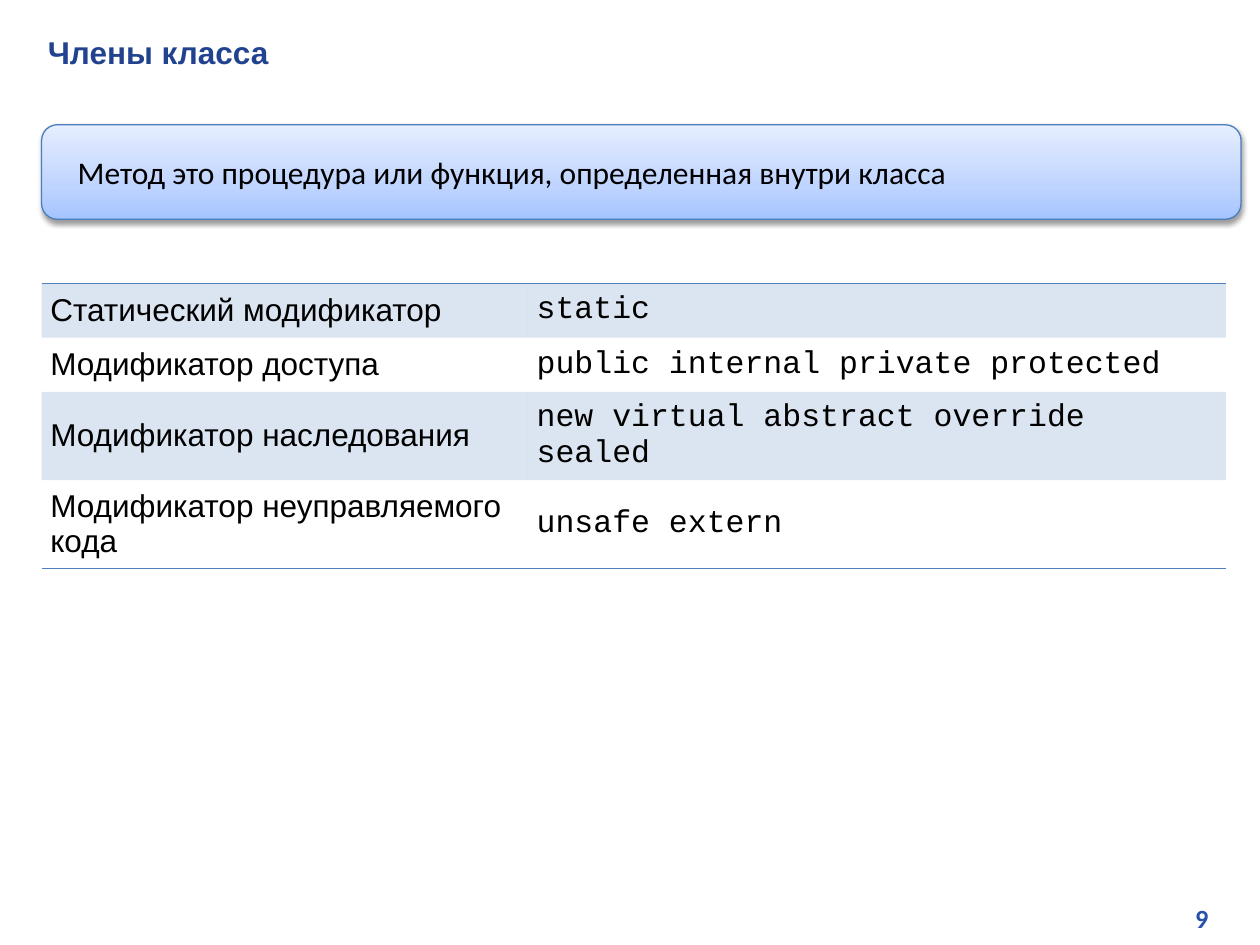
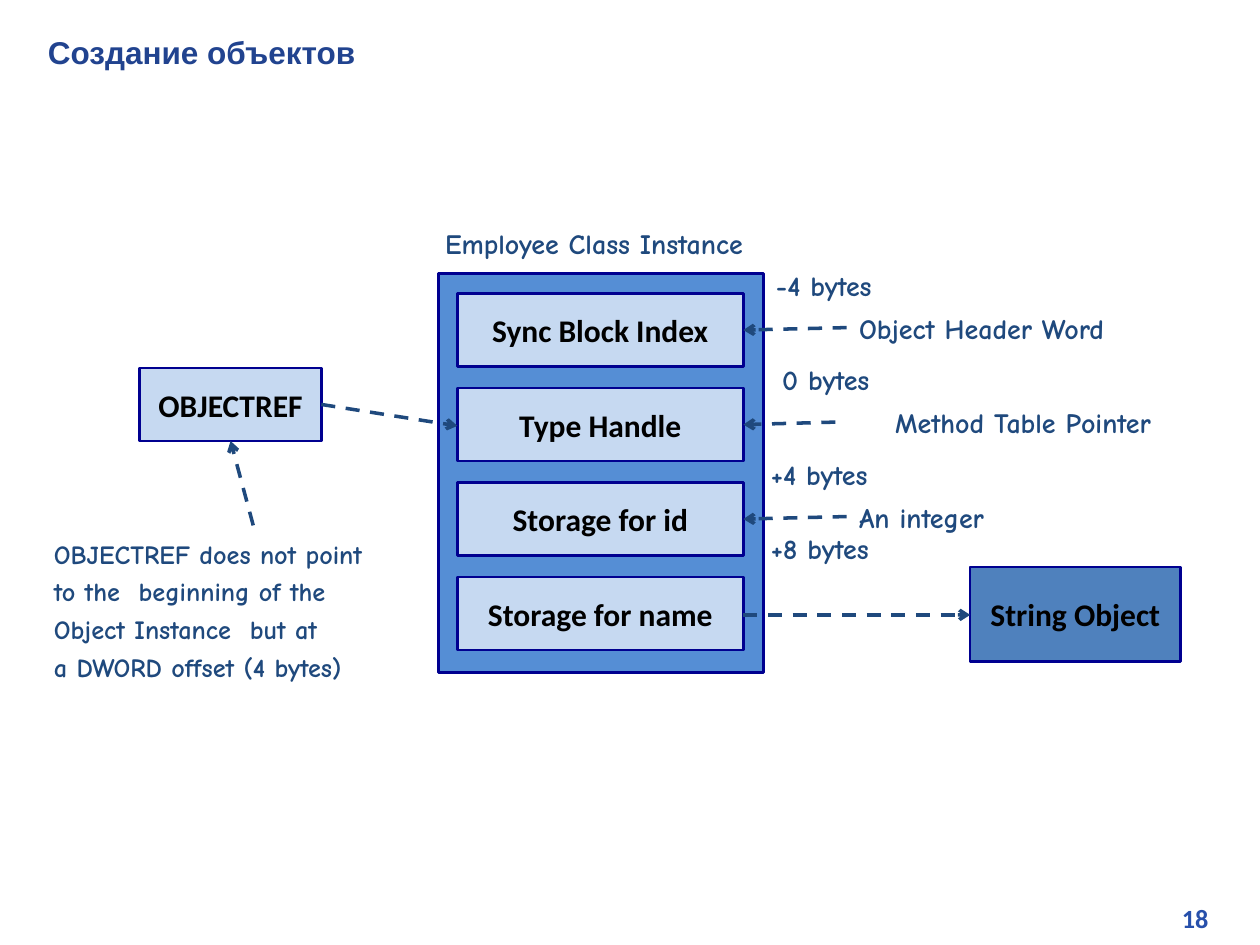
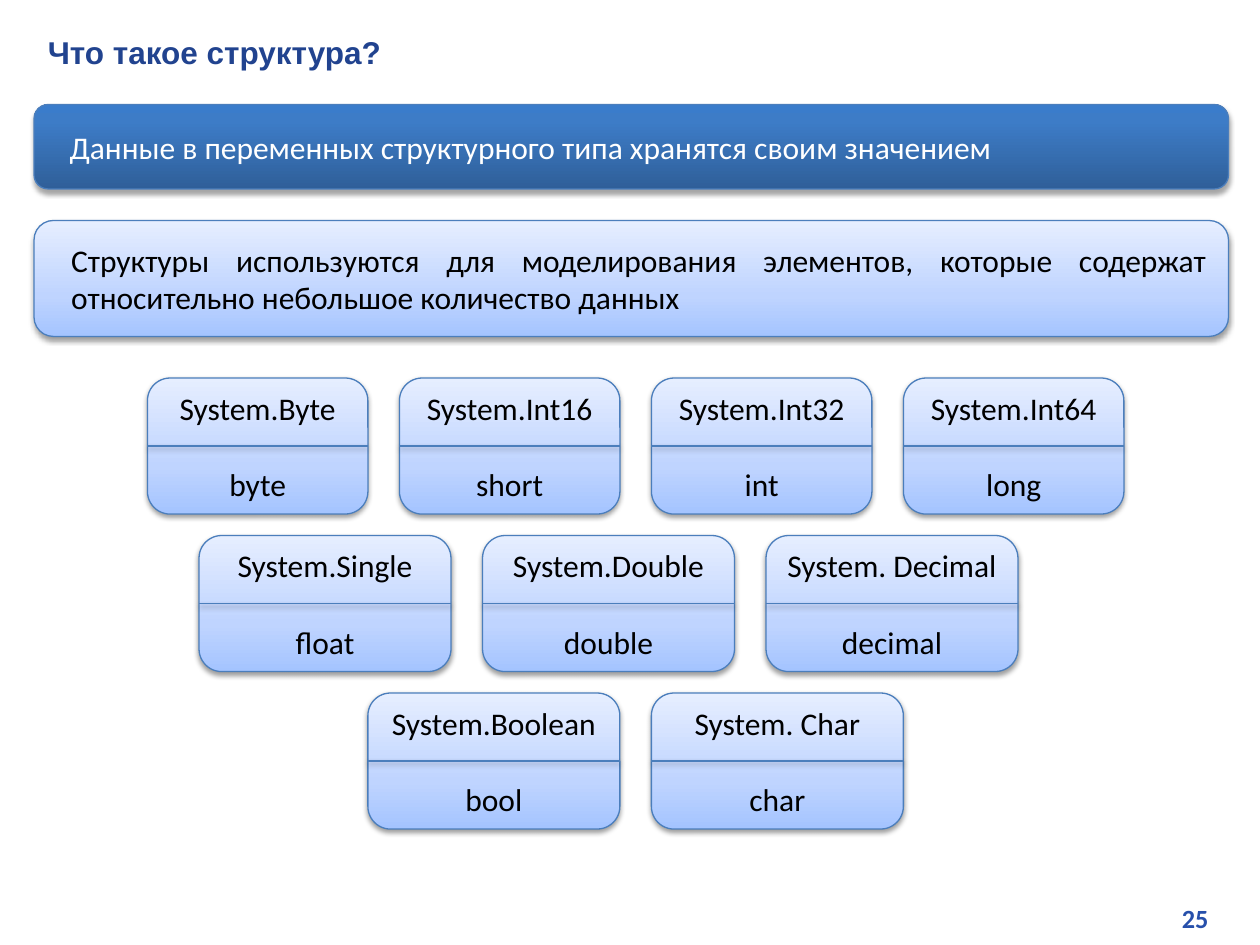
import lxml.etree
import pptx
import pptx.dml.color
import pptx.enum.dml
import pptx.enum.shapes
import pptx.enum.text
import pptx.oxml.ns
import pptx.util

Inches = pptx.util.Inches
Pt = pptx.util.Pt
qn = pptx.oxml.ns.qn
SHAPE = pptx.enum.shapes.MSO_SHAPE
ALIGN = pptx.enum.text.PP_ALIGN
ANCHOR = pptx.enum.text.MSO_ANCHOR
FIT = pptx.enum.text.MSO_AUTO_SIZE

COLORS = {
    "title": "21438F", "number": "2750AB", "text": "000000", "white": "FFFFFF",
    "edge": "4B7EBC", "accent": "4F81BD", "frame": "558ED5", "field": "C6D9F1",
    "outline": "000090", "note": "1F497D", "shadow": "000000",
}
GRADIENTS = {
    "light": [(0, "A4C4FF"), (35, "BFD4FF"), (100, "E6EEFF")],
    "dark": [(0, "2F5F99"), (80, "3D7CC7"), (100, "3A7CCB")],
}
SHADOWS = {"light": (38, 1.6), "dark": (35, 1.8)}
NO_STYLE_TABLE = "{2D5ABB26-0587-4C30-8999-92F81FD0307C}"


def rgb(name):
    return pptx.dml.color.RGBColor.from_string(COLORS[name])


def add_xml(parent, tag, **attrs):
    return lxml.etree.SubElement(parent, qn(tag), {k: str(v) for k, v in attrs.items()})


class Deck:
    def __init__(self):
        self.prs = pptx.Presentation()
        self.prs.slide_width = Inches(10)
        self.prs.slide_height = Inches(7.5)
        self.slide = None

    def new_slide(self, title, number):
        self.slide = self.prs.slides.add_slide(self.prs.slide_layouts[5])
        sp = self.slide.shapes.title
        sp.left, sp.top, sp.width, sp.height = map(Inches, (0.25, 0.2, 9.54, 0.4))
        tf = sp.text_frame
        self.set_text(tf, [title], 18, "title", "Arial", True, ALIGN.LEFT)
        tf.auto_size = FIT.NONE
        tf.vertical_anchor = ANCHOR.TOP
        self.pad(tf)
        tf = self.label([str(number)], 7.6, 7.1, 2.12, 0.38, 15, "number", "Calibri", ALIGN.RIGHT)
        tf.word_wrap = True
        self.pad(tf)

    def pad(self, tf, left=0.13):
        tf.margin_left, tf.margin_right = Inches(left), Inches(0.13)
        tf.margin_top = tf.margin_bottom = Inches(0.06)

    def set_text(self, tf, lines, size, color, font="Calibri", bold=False, align=ALIGN.CENTER):
        tf.text = "\n".join(lines)
        for p in tf.paragraphs:
            p.alignment = align
            p.font.size = Pt(size)
            p.font.name = font
            p.font.bold = bold
            p.font.color.rgb = rgb(color)

    def label(self, lines, x, y, w, h=0.37, size=16, color="note", font="Comic Neue", align=ALIGN.LEFT):
        tf = self.slide.shapes.add_textbox(*map(Inches, (x, y, w, h))).text_frame
        self.set_text(tf, lines, size, color, font, True, align)
        tf.word_wrap = False
        tf.auto_size = FIT.SHAPE_TO_FIT_TEXT
        return tf

    def box(self, x, y, w, h, fill, text=""):
        sp = self.slide.shapes.add_shape(SHAPE.RECTANGLE, *map(Inches, (x, y, w, h)))
        sp.shadow.inherit = False
        sp.fill.solid()
        sp.fill.fore_color.rgb = rgb(fill)
        sp.line.color.rgb = rgb("outline")
        sp.line.width = Pt(1.5)
        if text:
            sp.text_frame.vertical_anchor = ANCHOR.MIDDLE
            self.set_text(sp.text_frame, [text], 18, "text", bold=True)

    def cast_shadow(self, effects, look):
        alpha, dist = SHADOWS[look]
        shadow = add_xml(effects, "a:outerShdw", blurRad=Pt(3.1), dist=Pt(dist), dir=5400000, rotWithShape=0)
        clr = add_xml(shadow, "a:srgbClr", val=COLORS["shadow"])
        add_xml(clr, "a:alpha", val=alpha * 1000)

    def rounded(self, x, y, w, h, look="light"):
        sp = self.slide.shapes.add_shape(SHAPE.ROUNDED_RECTANGLE, *map(Inches, (x, y, w, h)))
        sp.fill.gradient()
        sp.fill.gradient_angle = 90
        spPr = sp._element.spPr
        stops = spPr.find(qn("a:gradFill")).find(qn("a:gsLst"))
        for gs in list(stops):
            stops.remove(gs)
        for pos, color in GRADIENTS[look]:
            add_xml(add_xml(stops, "a:gs", pos=pos * 1000), "a:srgbClr", val=color)
        sp.line.color.rgb = rgb("edge")
        sp.line.width = Pt(0.75)
        sp.shadow.inherit = False
        self.cast_shadow(spPr.find(qn("a:effectLst")), look)
        sp.text_frame.vertical_anchor = ANCHOR.MIDDLE
        return sp.text_frame

    def banner(self, text, x, y, w, h, look="light", color="text"):
        tf = self.rounded(x, y, w, h, look)
        self.pad(tf, 0.25)
        self.set_text(tf, [text], 18, color, align=ALIGN.JUSTIFY)

    def card(self, name, alias, x, y, w):
        tf = self.rounded(x, y, w, 1.08)
        self.set_text(tf, [name, alias], 18, "text")
        tf.paragraphs[1].space_before = Pt(22)
        effects = self.connector(x, y + 0.54, x + w, y + 0.54, "edge", 0.75)[1]
        self.cast_shadow(effects, "light")

    def connector(self, x1, y1, x2, y2, color, width):
        line = self.slide.shapes.add_connector(
            pptx.enum.shapes.MSO_CONNECTOR.STRAIGHT, *map(Inches, (x1, y1, x2, y2)))
        line.line.color.rgb = rgb(color)
        line.line.width = Pt(width)
        return line, add_xml(line._element.spPr, "a:effectLst")

    def arrow(self, x1, y1, x2, y2):
        line = self.connector(x1, y1, x2, y2, "note", 2)[0]
        line.line.dash_style = pptx.enum.dml.MSO_LINE.DASH
        add_xml(line._element.spPr.find(qn("a:ln")), "a:tailEnd", type="arrow")

    def table(self, rows, x, y, widths, row_height):
        frame = self.slide.shapes.add_table(
            len(rows), len(widths), *map(Inches, (x, y, sum(widths), row_height * len(rows))))
        tbl = frame.table
        tbl._tbl.tblPr.find(qn("a:tableStyleId")).text = NO_STYLE_TABLE
        tbl.first_row = tbl.horz_banding = False
        for col, width in zip(tbl.columns, widths):
            col.width = Inches(width)
        for i, row in enumerate(rows):
            for cell, text, font in zip(tbl.rows[i].cells, row, ("Arial", "Courier New")):
                self.set_text(cell.text_frame, [text], 18, "text", font, align=ALIGN.LEFT)
                cell.vertical_anchor = ANCHOR.MIDDLE
                cell.margin_left = cell.margin_right = Inches(0.07)
                cell.margin_top = cell.margin_bottom = Inches(0.05)
                tcPr = cell._tc.get_or_add_tcPr()
                if i == 0:
                    self.border(tcPr, "a:lnT")
                if i == len(rows) - 1:
                    self.border(tcPr, "a:lnB")
                if i % 2:
                    cell.fill.background()
                else:
                    cell.fill.solid()
                    cell.fill.fore_color.rgb = rgb("accent")
                    clr = tcPr.find(qn("a:solidFill")).find(qn("a:srgbClr"))
                    add_xml(clr, "a:alpha", val=20000)

    def border(self, tcPr, side):
        ln = add_xml(tcPr, side, w=Pt(1))
        add_xml(add_xml(ln, "a:solidFill"), "a:srgbClr", val=COLORS["accent"])


deck = Deck()

deck.new_slide("Члены класса", 9)
deck.banner("Метод это процедура или функция, определенная внутри класса", 0.33, 0.99, 9.52, 0.75)
deck.table([
    ("Статический модификатор", "static"),
    ("Модификатор доступа", "public internal private protected"),
    ("Модификатор наследования", "new virtual abstract override sealed"),
    ("Модификатор неуправляемого кода", "unsafe extern"),
], 0.33, 2.25, (3.86, 5.54), 0.43)

deck.new_slide("Создание объектов", 18)
deck.box(3.48, 2.17, 2.58, 3.17, "frame")
deck.label(["Employee Class Instance"], 3.05, 1.75, 3.33, align=ALIGN.CENTER)
fields = ["Sync Block Index", "Type Handle", "Storage for id", "Storage for name"]
for i, field in enumerate(fields):
    deck.box(3.63, 2.33 + 0.75 * i, 2.27, 0.58, "field", field)
deck.box(7.7, 4.5, 1.67, 0.75, "accent", "String Object")
deck.box(1.11, 2.92, 1.44, 0.58, "field", "OBJECTREF")
offsets = [("-4 bytes", 6.06, 2.08), ("0 bytes", 6.11, 2.83),
           ("+4 bytes", 6.02, 3.58), ("+8 bytes", 6.02, 4.17)]
for text, x, y in offsets:
    deck.label([text], x, y, 1.25)
meanings = [("Object Header Word", 6.72, 2.8, ALIGN.LEFT),
            ("Method Table Pointer", 6.63, 2.98, ALIGN.CENTER),
            ("An integer", 6.72, 1.61, ALIGN.LEFT)]
for i, (text, x, w, align) in enumerate(meanings):
    y = 2.42 + 0.75 * i
    deck.label([text], x, y, w, align=align)
    deck.arrow(x, y + 0.18, 5.9, y + 0.2)
tf = deck.label(["OBJECTREF does not point", "to the  beginning of the",
                 "Object Instance  but at", "a DWORD offset (4 bytes)"], 0.33, 4.17, 3.36, 1.3, 15)
for p in tf.paragraphs:
    p.line_spacing = 1.2
deck.arrow(2.55, 3.21, 3.63, 3.38)
deck.arrow(5.9, 4.88, 7.7, 4.88)
deck.arrow(2.01, 4.17, 1.83, 3.5)

deck.new_slide("Что такое структура?", 25)
deck.banner("Структуры используются для моделирования элементов, которые содержат "
            "относительно небольшое количество данных", 0.27, 1.75, 9.48, 0.92)
deck.banner("Данные в переменных структурного типа хранятся своим значением",
            0.27, 0.83, 9.48, 0.67, "dark", "white")
card_rows = [
    (1.17, 1.75, [("System.Byte", "byte"), ("System.Int16", "short"),
                  ("System.Int32", "int"), ("System.Int64", "long")]),
    (1.58, 2, [("System.Single", "float"), ("System.Double", "double"),
               ("System. Decimal", "decimal")]),
    (2.92, 2, [("System.Boolean", "bool"), ("System. Char", "char")]),
]
for i, (left, width, types) in enumerate(card_rows):
    for j, (name, alias) in enumerate(types):
        deck.card(name, alias, left + j * (width + 0.25), 3 + 1.25 * i, width)

deck.prs.save("out.pptx")
